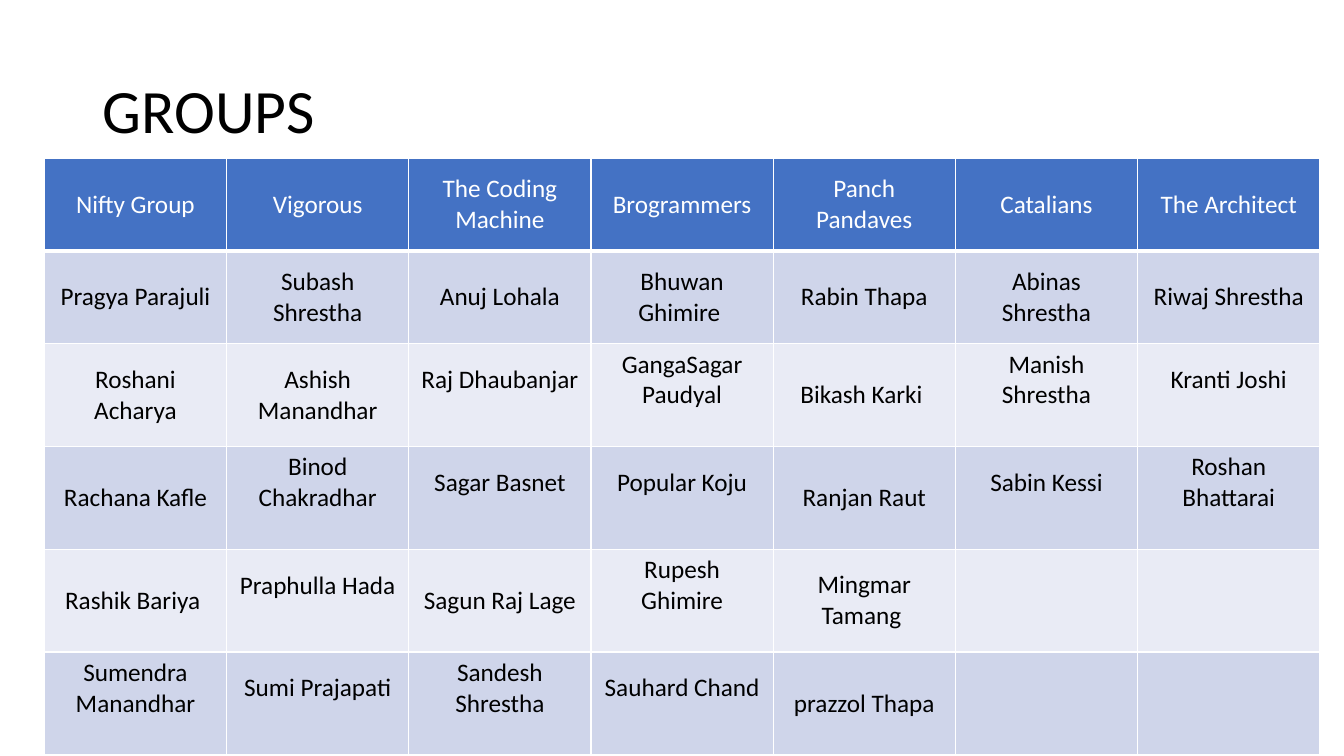
from dataclasses import dataclass

from pptx import Presentation
from pptx import util as u
from pptx.dml.color import RGBColor
from pptx.enum import text
from pptx.oxml import parse_xml
from pptx.oxml.ns import nsdecls
from pptx.slide import Slide
from pptx.table import _Cell


@dataclass(frozen=True)
class Theme:
    font: str = "Calibri"
    title_size: int = 44
    cell_size: int = 18
    ink: str = "000000"
    paper: str = "FFFFFF"
    header: str = "4472C4"
    bands: tuple[str, str] = ("CFD5EA", "E9EBF5")
    thin: int = 1
    thick: int = 3


@dataclass(frozen=True)
class Box:
    left: float
    top: float
    width: float
    height: float


@dataclass(frozen=True)
class Team:
    name: str
    members: tuple[str, ...]
    raised: tuple[int, ...] = ()


THEME = Theme()
SLIDE_WIDTH, SLIDE_HEIGHT = 13.33, 7.5
TITLE_BOX = Box(0.92, 0.4, 11.5, 1.45)
TABLE_BOX = Box(0.44, 1.57, 12.65, 5.92)
ROW_HEIGHTS = (0.92, 0.92, 1.02, 1.02, 1.02, 1.02)
RAISED_MARGIN = 0.35

TEAMS = (
    Team("Nifty Group", ("Pragya Parajuli", "Roshani Acharya", "Rachana Kafle",
                         "Rashik Bariya ", "Sumendra Manandhar"), (5,)),
    Team("Vigorous", ("Subash Shrestha", "Ashish Manandhar", "Binod Chakradhar",
                      "Praphulla Hada", "Sumi Prajapati"), (3, 4, 5)),
    Team("The Coding Machine", ("Anuj Lohala", "Raj Dhaubanjar", "Sagar Basnet",
                                "Sagun Raj Lage", "Sandesh Shrestha"), (2, 3, 5)),
    Team("Brogrammers", ("Bhuwan Ghimire ", "GangaSagar Paudyal", "Popular Koju",
                         "Rupesh Ghimire", "Sauhard Chand"), (2, 3, 4, 5)),
    Team("Panch Pandaves", ("Rabin Thapa", "Bikash Karki ", "Ranjan Raut",
                            "Mingmar Tamang ", "prazzol Thapa")),
    Team("Catalians", ("Abinas Shrestha", "Manish Shrestha", "Sabin Kessi"), (2, 3)),
    Team("The Architect", ("Riwaj Shrestha", "Kranti Joshi", "Roshan Bhattarai"), (2, 3)),
)


def format_text(frame: text, size: int, color: str, align: text.PP_ALIGN) -> None:
    for para in frame.paragraphs:
        para.alignment = align
        para.font.size = u.Pt(size)
        for span in para.runs:
            span.font.name = THEME.font
            span.font.size = u.Pt(size)
            span.font.color.rgb = RGBColor.from_string(color)


def add_title(page: Slide, words: str, box: Box) -> None:
    title = page.shapes.title
    title.left, title.top = u.Inches(box.left), u.Inches(box.top)
    title.width, title.height = u.Inches(box.width), u.Inches(box.height)
    frame = title.text_frame
    frame.text = words
    frame.vertical_anchor = text.MSO_ANCHOR.MIDDLE
    frame.paragraphs[0].line_spacing = 0.9
    format_text(frame, THEME.title_size, THEME.ink, text.PP_ALIGN.LEFT)


def add_borders(cell: _Cell, row: int) -> None:
    properties = cell._tc.get_or_add_tcPr()
    for side in "LRTB":
        under_header = (row, side) in ((0, "B"), (1, "T"))
        weight = u.Pt(THEME.thick if under_header else THEME.thin)
        properties.append(parse_xml(
            f'<a:ln{side} {nsdecls("a")} w="{weight}"><a:solidFill>'
            f'<a:srgbClr val="{THEME.paper}"/></a:solidFill></a:ln{side}>'))


def fill_cell(cell: _Cell, words: str, row: int, raised: bool) -> None:
    header = row == 0
    add_borders(cell, row)
    cell.fill.solid()
    fill = THEME.header if header else THEME.bands[(row - 1) % 2]
    cell.fill.fore_color.rgb = RGBColor.from_string(fill)
    cell.vertical_anchor = text.MSO_ANCHOR.MIDDLE
    if raised:
        cell.margin_bottom = u.Inches(RAISED_MARGIN)
    cell.text_frame.text = words
    color = THEME.paper if header else THEME.ink
    format_text(cell.text_frame, THEME.cell_size, color, text.PP_ALIGN.CENTER)
    for span in cell.text_frame.paragraphs[0].runs:
        span.font.bold = False


def add_team_table(page: Slide, teams: tuple[Team, ...], box: Box) -> None:
    table = page.shapes.add_table(
        len(ROW_HEIGHTS), len(teams), u.Inches(box.left), u.Inches(box.top),
        u.Inches(box.width), u.Inches(box.height)).table
    for row, height in enumerate(ROW_HEIGHTS):
        table.rows[row].height = u.Inches(height)
    for column, team in enumerate(teams):
        table.columns[column].width = u.Inches(box.width / len(teams))
        entries = (team.name, *team.members)
        for row in range(len(ROW_HEIGHTS)):
            words = entries[row] if row < len(entries) else ""
            fill_cell(table.cell(row, column), words, row, row in team.raised)


def main() -> None:
    deck = Presentation()
    deck.slide_width, deck.slide_height = u.Inches(SLIDE_WIDTH), u.Inches(SLIDE_HEIGHT)
    page = deck.slides.add_slide(deck.slide_layouts.get_by_name("Title Only"))
    add_title(page, "GROUPS", TITLE_BOX)
    add_team_table(page, TEAMS, TABLE_BOX)
    deck.save("out.pptx")


if __name__ == "__main__":
    main()
